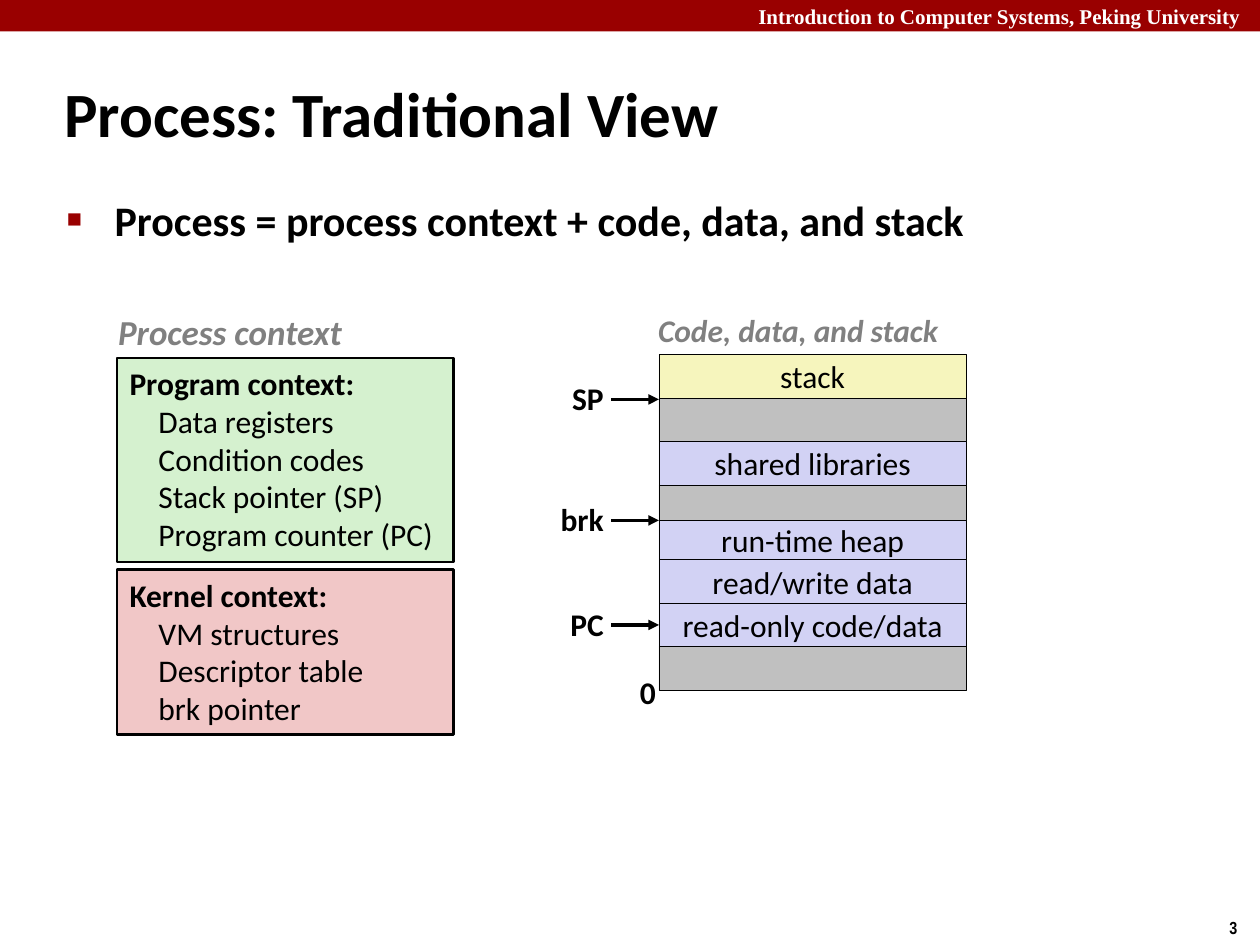
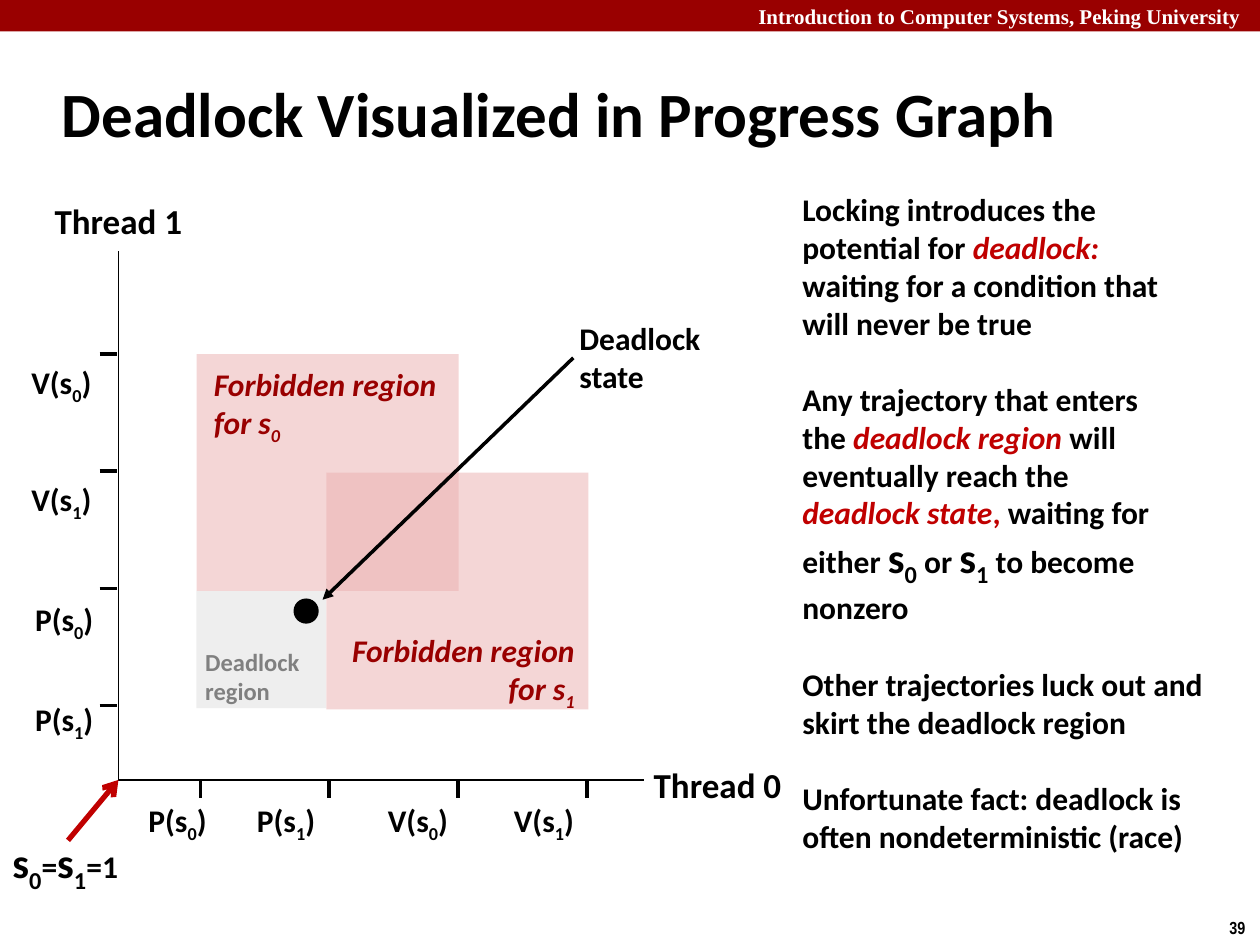
from lxml import etree
from pptx import Presentation
from pptx.dml.color import RGBColor
from pptx.enum.shapes import MSO_CONNECTOR, MSO_SHAPE
from pptx.enum.text import MSO_ANCHOR, MSO_AUTO_SIZE, PP_ALIGN
from pptx.oxml.ns import qn
from pptx.util import Inches, Pt

RECTANGLE, OVAL = MSO_SHAPE.RECTANGLE, MSO_SHAPE.OVAL
STRAIGHT = MSO_CONNECTOR.STRAIGHT
TOP, MIDDLE = MSO_ANCHOR.TOP, MSO_ANCHOR.MIDDLE
LEFT, CENTER, RIGHT = PP_ALIGN.LEFT, PP_ALIGN.CENTER, PP_ALIGN.RIGHT
NO_FIT, GROW = MSO_AUTO_SIZE.NONE, MSO_AUTO_SIZE.SHAPE_TO_FIT_TEXT
LEFT_SIDE = 1

BLACK, WHITE, GRAY = "000000", "FFFFFF", "808080"
CRIMSON, RED = "990000", "C00000"
SILVER, LILAC, YELLOW = "C0C0C0", "D2D2F4", "F6F5BD"
GREEN, ROSE, BLUSH, ASH = "D5F1CF", "F1C7C7", "EBAFAF", "CCCCCC"

COLUMNS, ROWS = 100, 75
TITLE_AND_BODY, TITLE_ONLY = 1, 5


def paint(target, code):
    target.rgb = RGBColor.from_string(code)


def add_xml(parent, tag, **attributes):
    return etree.SubElement(parent, qn(tag), attributes)


class SlideStyle:
    def __init__(self, deck):
        self.deck = deck
        self.cell_width = deck.slide_width / COLUMNS
        self.cell_height = deck.slide_height / ROWS
        self.page = None

    def grid(self, *lengths):
        cells = (self.cell_width, self.cell_height)
        return [round(length * cells[i % 2]) for i, length in enumerate(lengths)]

    def new_page(self, layout, title, title_column, number):
        self.page = self.deck.slides.add_slide(self.deck.slide_layouts[layout])
        self.block((0, 0, COLUMNS, 2.5), CRIMSON)
        self.text((59.2, 0, 40.8, 2.5),
                  ["Introduction to Computer Systems, Peking University"],
                  wrap=True, padding=0, fit=NO_FIT, size=12, color=WHITE,
                  name="Times New Roman")
        self.text((96.6, 72.3, 3.4, 2.7), [number], size=10, name="Arial Narrow")
        self.placeholder(self.page.shapes.title, (title_column, 4.8, 83, 8.3),
                         title, 36, MIDDLE)

    def placeholder(self, box, area, line, size, anchor):
        box.left, box.top, box.width, box.height = self.grid(*area)
        frame = box.text_frame
        frame.word_wrap, frame.auto_size = True, NO_FIT
        frame.vertical_anchor = anchor
        return self.add_paras(frame, [line], size=size)[0]

    def bullet(self, area, line):
        para = self.placeholder(self.page.placeholders[1], area, line, 24, TOP)
        para.space_before = Pt(0)
        layout = para._p.get_or_add_pPr()
        layout.set("marL", str(Inches(0.38)))
        layout.set("indent", str(-Inches(0.38)))
        add_xml(add_xml(layout, "a:buClr"), "a:srgbClr", val=CRIMSON)
        add_xml(layout, "a:buSzPct", val="60000")
        add_xml(layout, "a:buChar", char="■")

    def add_paras(self, frame, lines, align=LEFT, **style):
        paras = []
        for line in lines:
            para = frame.add_paragraph() if paras else frame.paragraphs[0]
            para.alignment = align
            for part in [line] if isinstance(line, str) else line:
                words, changes = (part, {}) if isinstance(part, str) else part
                self.span(para, words, **{**style, **changes})
            paras.append(para)
        return paras

    def span(self, para, words, size=18, color=BLACK, bold=True, italic=False,
             name="Calibri", sub=False):
        span = para.add_run()
        span.text = words
        font = span.font
        font.size, font.name = Pt(size), name
        font.bold, font.italic = bold, italic
        paint(font.color, color)
        if sub:
            span._r.get_or_add_rPr().set("baseline", "-25000")

    def text(self, area, lines, wrap=False, padding=0.05, anchor=MIDDLE,
             fit=GROW, **style):
        box = self.page.shapes.add_textbox(*self.grid(*area))
        frame = box.text_frame
        frame.word_wrap, frame.auto_size = wrap, fit
        frame.vertical_anchor = anchor
        frame.margin_top = frame.margin_bottom = Inches(padding)
        return self.add_paras(frame, lines, **style)

    def block(self, area, fill, border=0, opacity=100, kind=RECTANGLE):
        box = self.page.shapes.add_shape(kind, *self.grid(*area))
        box.shadow.inherit = False
        box.fill.solid()
        paint(box.fill.fore_color, fill)
        if opacity < 100:
            shade = box._element.spPr.find(".//" + qn("a:srgbClr"))
            add_xml(shade, "a:alpha", val=str(opacity * 1000))
        if border:
            paint(box.line.color, BLACK)
            box.line.width = Pt(border)
        else:
            box.line.fill.background()
        return box

    def segment(self, area, fill, label):
        box = self.block(area, fill, 0.25)
        if label:
            frame = box.text_frame
            frame.word_wrap, frame.vertical_anchor = False, MIDDLE
            self.add_paras(frame, [label], CENTER, bold=False)
        return box

    def card(self, area, fill, heading, items):
        frame = self.block(area, fill, 1.5).text_frame
        frame.word_wrap, frame.vertical_anchor = True, TOP
        lines = [heading] + [[(item, {"bold": False})] for item in items]
        for para in self.add_paras(frame, lines)[1:]:
            para._p.get_or_add_pPr().set("marL", str(Inches(0.23)))

    def line(self, start, end, width=2, stroke=BLACK, head=None):
        line = self.page.shapes.add_connector(STRAIGHT, *self.grid(*start, *end))
        paint(line.line.color, stroke)
        line.line.width = Pt(width)
        shape = line._element.spPr
        if head:
            add_xml(shape.find(qn("a:ln")), "a:tailEnd", type=head)
        add_xml(shape, "a:effectLst")
        return line


def subscript(digit, **style):
    return digit, {"sub": True, **style}


def semaphore(digit):
    return [("s", {"size": 24}), subscript(digit, size=24)]


def operation(name, digit):
    return [f"{name}(s", subscript(digit), ")"]


def draw_process_view(style):
    style.new_page(TITLE_AND_BODY, "Process: Traditional View", 4.1, "3")
    style.bullet((4.3, 14.9, 86.4, 5.9),
                 "Process = process context + code, data, and stack")

    style.text((8.3, 24.1, 19.9, 4.4), ["Process context"], align=CENTER,
               size=20, color=GRAY, italic=True)
    style.card((9.3, 28.4, 26.7, 16.2), GREEN, "Program context:",
               ["Data registers", "Condition codes", "Stack pointer (SP)",
                "Program counter (PC)"])
    style.card((9.3, 45.2, 26.7, 13.1), ROSE, "Kernel context:",
               ["VM structures", "Descriptor table", "brk pointer"])

    style.text((51.2, 24.2, 24.3, 4), ["Code, data, and stack"], align=CENTER,
               color=GRAY, italic=True)
    memory_left, row = 52.3, 28.1
    segments = {}
    for label, fill, height in (
            ("stack", YELLOW, 3.5), ("", SILVER, 3.4),
            ("shared libraries", LILAC, 3.5), ("", SILVER, 2.8),
            ("run-time heap", LILAC, 3.1), ("read/write data", LILAC, 3.5),
            ("read-only code/data", LILAC, 3.4), ("", SILVER, 3.5)):
        area = (memory_left, row, 24.4, height)
        segments[label] = style.segment(area, fill, label)
        row += height
    style.text((49.8, 52.9, 3.3, 4), ["0"])

    for name, row, target in (("SP", 31.7, None), ("brk", 41.3, None),
                              ("PC", 49.6, "read-only code/data")):
        style.text((41.9, row - 2.1, 7, 4), [name], wrap=True, align=RIGHT)
        arrow = style.line((48.5, row), (memory_left, row), head="triangle")
        if target:
            arrow.end_connect(segments[target], LEFT_SIDE)


def draw_axes(style):
    origin = axis_column, axis_row = 9.4, 61.9
    style.line(origin, (51.1, axis_row), 1)
    style.line(origin, (axis_column, 19.9), 1)
    style.text((50.8, 60.1, 12.3, 4.4), ["Thread 0"], align=CENTER, size=20)
    style.text((3.3, 15.3, 12.2, 4.4), ["Thread 1"], align=CENTER, size=20)

    across = (("P", "0", 10.8), ("P", "1", 19.4), ("V", "0", 29.8), ("V", "1", 39.8))
    for i, (name, digit, column) in enumerate(across):
        tick = 15.9 + 10.23 * i
        style.line((tick, axis_row), (tick, 63.3))
        style.text((column, 63.3, 6.8, 4), [operation(name, digit)])

    upward = (("V", "0", 1.5, 28.5), ("V", "1", 1.5, 37.8),
              ("P", "0", 1.8, 47.3), ("P", "1", 1.8, 55.3))
    for i, (name, digit, column, row) in enumerate(upward):
        tick = 28.1 + 9.3 * i
        style.line((7.9, tick), (9.3, tick))
        style.text((column, row, 6.8, 4), [operation(name, digit)])

    style.text((0, 66.7, 10.8, 4),
               [[*semaphore("0"), "=", *semaphore("1"), "=1"]], padding=0)
    style.line((5.4, 66.7), origin, 3, RED, "arrow")


def draw_regions(style):
    style.block((15.6, 46.9, 10.3, 9.3), ASH, opacity=32)
    for digit, area, label_area, align in (
            ("0", (15.6, 28.1, 20.8, 18.8), (16, 28.5, 20.6, 7.1), LEFT),
            ("1", (25.9, 37.5, 20.8, 18.8), (26.1, 49.6, 20.5, 7.1), RIGHT)):
        style.block(area, BLUSH, opacity=50)
        style.text(label_area, ["Forbidden region", ["for s", subscript(digit)]],
                   anchor=TOP, align=align, color=CRIMSON, italic=True)
    style.text((15.3, 51.3, 9.6, 4.7), ["Deadlock", "region"], padding=0,
               size=14, color=GRAY)
    style.block((23.3, 47.5, 2, 2), BLACK, kind=OVAL)
    style.text((45, 25.3, 11.7, 6.1), ["Deadlock", "state"], padding=0)
    style.line((45.5, 28.4), (25.6, 47.6), head="triangle")


def draw_deadlock(style):
    style.new_page(TITLE_ONLY, "Deadlock Visualized in Progress Graph", 3.9, "39")
    draw_axes(style)
    draw_regions(style)

    stress = {"color": RED, "italic": True}
    lines = [
        "Locking introduces the",
        ["potential for ", ("deadlock:", stress)],
        "waiting for a condition that will never be true",
        "Any trajectory that enters",
        ["the ", ("deadlock region ", stress), "will"],
        "eventually reach the",
        [("deadlock state", stress), (", ", {"color": RED}), "waiting for either ",
         *semaphore("0"), " or ", *semaphore("1"), " to become nonzero"],
        "Other trajectories luck out and skirt the deadlock region",
        "Unfortunate fact: deadlock is often nondeterministic (race)",
    ]
    paras = style.text((62.7, 15.1, 34, 52.5), lines, wrap=True, padding=0,
                       anchor=TOP)
    for topic_start in (3, 7, 8):
        paras[topic_start].space_before = Pt(22)


def main():
    deck = Presentation()
    deck.slide_width, deck.slide_height = Inches(10), Inches(7.5)
    style = SlideStyle(deck)
    draw_process_view(style)
    draw_deadlock(style)
    deck.save("out.pptx")


if __name__ == "__main__":
    main()
